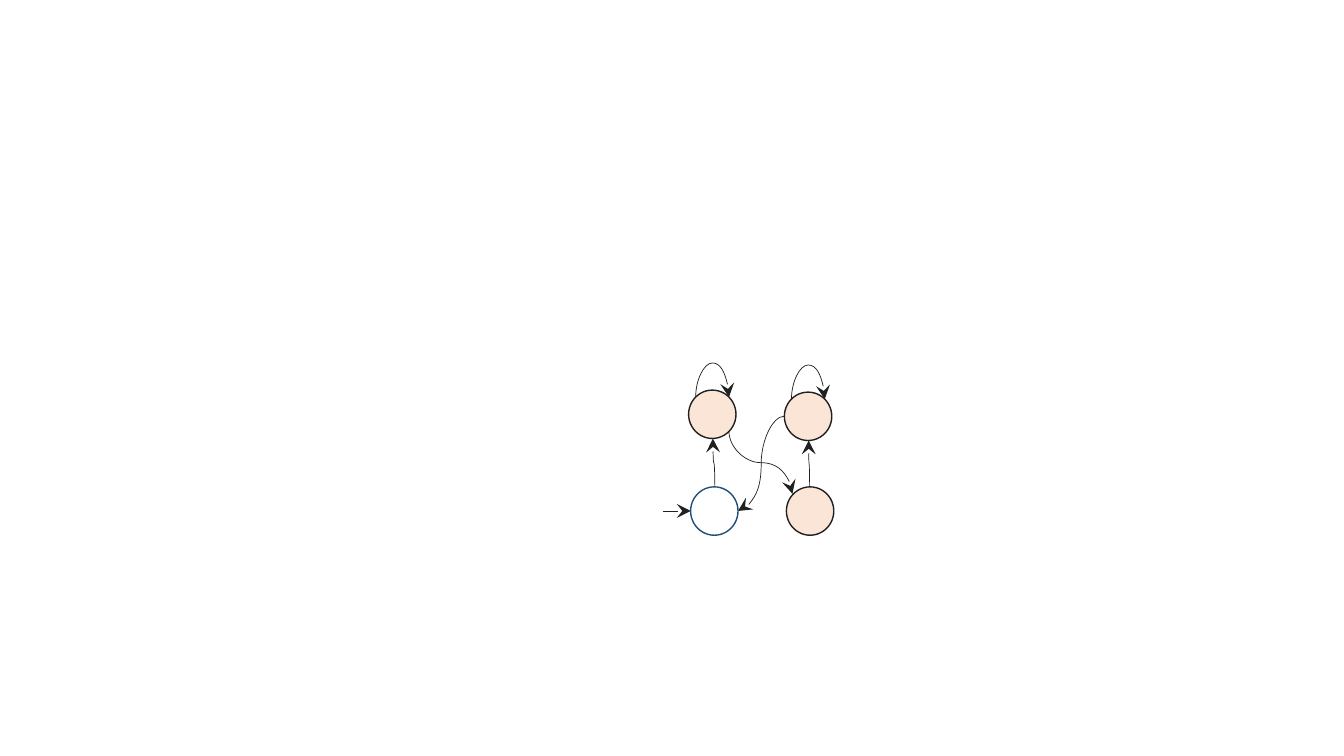
from lxml import etree
from pptx import Presentation
from pptx.dml.color import RGBColor
from pptx.enum.shapes import MSO_CONNECTOR, MSO_SHAPE
from pptx.oxml.ns import qn
from pptx.util import Inches, Pt

CURVE = MSO_CONNECTOR.CURVE
OVAL = MSO_SHAPE.OVAL
COLORS = {"ink": "202020", "start": "1F4E79", "white": "FFFFFF", "peach": "FBE5D6"}
NODE_WIDTH, NODE_HEIGHT = 0.47, 0.48
LOOP_SPAN, LOOP_RATIO = 0.33, 95.7
RIGHT, DOWN, LEFT, UP = 0, 90, 180, 270


class StateDiagram:
    """Draws states and transitions in one group on the current slide."""

    def __init__(self, slide):
        self.shapes = slide.shapes.add_group_shape().shapes
        self.arrowhead = {"type": "stealth", "w": "lg", "len": "lg"}

    def outline(self, line, color, width):
        line.fill.solid()
        formats = {"rgb": RGBColor.from_string(COLORS[color])}
        for name, value in formats.items():
            setattr(line.fill.fore_color, name, value)
        line.width = Pt(width)

    def state(self, left, top, fill="peach", border="ink"):
        circle = self.shapes.add_shape(
            OVAL, Inches(left), Inches(top), Inches(NODE_WIDTH), Inches(NODE_HEIGHT))
        circle.shadow.inherit = False
        circle.fill.solid()
        circle.fill.fore_color.rgb = RGBColor.from_string(COLORS[fill])
        self.outline(circle.line, border, 1)

    def transition(self, tip, tail, direction, bend=0.5):
        along, across = abs(tail[0] - tip[0]), abs(tail[1] - tip[1])
        if direction in (DOWN, UP):
            along, across = across, along
        left = (tip[0] + tail[0] - along) / 2
        top = (tip[1] + tail[1] - across) / 2
        curve = self.shapes.add_connector(
            CURVE, Inches(left), Inches(top), Inches(left + along), Inches(top + across))
        self.outline(curve.line, "ink", 0.5)
        properties = curve._element.spPr
        frame = properties.find(qn("a:xfrm"))
        for name, value in {"rot": str(direction * 60000), "flipV": "1"}.items():
            frame.set(name, value)
        adjustments = properties.find(qn("a:prstGeom")).find(qn("a:avLst"))
        etree.SubElement(adjustments, qn("a:gd"), name="adj1",
                         fmla=f"val {round(bend * 100000)}")
        etree.SubElement(properties.find(qn("a:ln")), qn("a:headEnd"), self.arrowhead)
        etree.SubElement(properties, qn("a:effectLst"))

    def loop(self, tip_x, tip_y):
        tail = (tip_x - LOOP_SPAN, tip_y - LOOP_SPAN / LOOP_RATIO)
        self.transition((tip_x, tip_y), tail, UP, LOOP_RATIO)


def main():
    presentation = Presentation()
    presentation.slide_width = Inches(13.33)
    presentation.slide_height = Inches(7.5)
    diagram = StateDiagram(presentation.slides.add_slide(presentation.slide_layouts[6]))

    diagram.transition((6.85, 5.07), (6.58, 5.07), LEFT)
    diagram.transition((7.86, 4.9), (7.23, 4.28), UP)
    diagram.transition((8.02, 4.37), (8.03, 4.83), DOWN)
    diagram.loop(8.18, 3.96)
    diagram.transition((7.32, 5.07), (7.78, 4.13), RIGHT)
    diagram.transition((7.07, 4.35), (7.09, 4.83), DOWN)
    diagram.loop(7.23, 3.94)

    diagram.state(6.85, 4.83, "white", "start")
    for left, top in [(6.83, 3.87), (7.78, 3.89), (7.8, 4.83)]:
        diagram.state(left, top)

    presentation.save("out.pptx")


if __name__ == "__main__":
    main()
